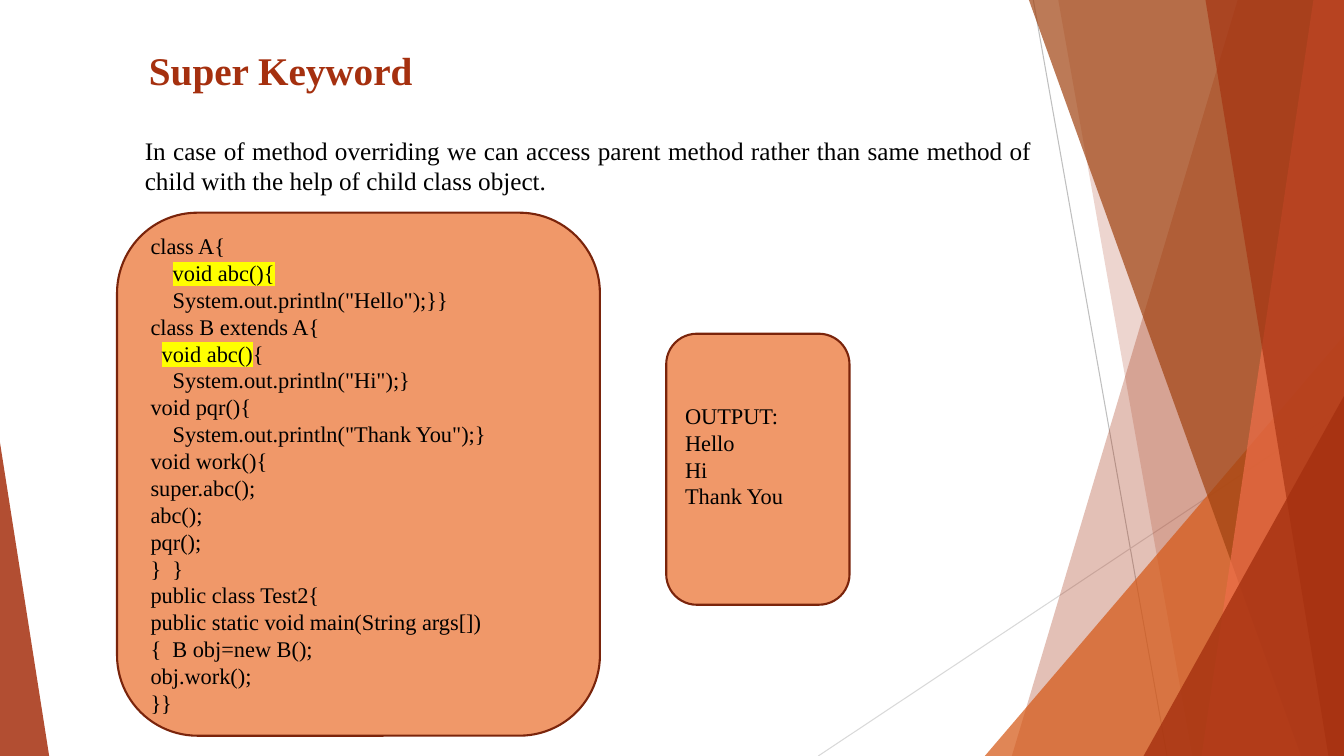
from dataclasses import dataclass

from lxml import etree
from pptx import Presentation
from pptx.dml.color import RGBColor
from pptx.enum.shapes import MSO_CONNECTOR, MSO_SHAPE
from pptx.enum.text import MSO_ANCHOR, PP_ALIGN
from pptx.oxml.ns import qn
from pptx.util import Cm, Pt

STRAIGHT = MSO_CONNECTOR.STRAIGHT
ROUNDED = MSO_SHAPE.ROUNDED_RECTANGLE
TRIANGLE = MSO_SHAPE.ISOSCELES_TRIANGLE
TOP, MIDDLE = MSO_ANCHOR.TOP, MSO_ANCHOR.MIDDLE
LEFT, JUSTIFY = PP_ALIGN.LEFT, PP_ALIGN.JUSTIFY

TITLE_ONLY = 5
SLIDE_WIDTH, SLIDE_HEIGHT = 33.87, 19.05
INDENT_STEP = 0.28


@dataclass(frozen=True)
class Theme:
    """Colours, font and type sizes of the deck."""
    font: str = "Times New Roman"
    title_size: int = 28
    body_size: int = 18
    code_size: int = 16
    ink: str = "000000"
    rust: str = "A5300F"
    orange: str = "D55816"
    brown: str = "A04210"
    coral: str = "EE6E4A"
    box_fill: str = "F09869"
    box_line: str = "7A240B"
    marker: str = "FFFF00"
    grey: str = "BFBFBF"
    pale_grey: str = "D9D9D9"


THEME = Theme()

TITLE = "Super Keyword"
INTRO = ("In case of method overriding we can access parent method rather than "
         "same method of child with the help of child class object.")

# Each line: indent steps, highlighted text, plain text
CODE = [
    (0, "", "class A{"),
    (2, "void abc(){", ""),
    (2, "", 'System.out.println("Hello");}}'),
    (0, "", "class B extends A{"),
    (1, "void abc()", "{"),
    (2, "", 'System.out.println("Hi");}'),
    (0, "", "void pqr(){"),
    (2, "", 'System.out.println("Thank You");}'),
    (0, "", "void work(){"),
    (0, "", "super.abc();"),
    (0, "", "abc();"),
    (0, "", "pqr();"),
    (0, "", "}  }"),
    (0, "", "public class Test2{"),
    (0, "", "public static void main(String args[])"),
    (0, "", "{  B obj=new B();"),
    (0, "", "obj.work();"),
    (0, "", "}}"),
]
OUTPUT = [(0, "", text) for text in ("OUTPUT:", "Hello", "Hi", "Thank You")]


def set_format(target, values):
    """Set every named attribute of the target."""
    for name, value in values.items():
        setattr(target, name, value)


def place(shape, left, top, width, height):
    """Move and size a shape, in centimetres."""
    set_format(shape, {"left": Cm(left), "top": Cm(top),
                       "width": Cm(width), "height": Cm(height)})


def add_span(para, text, size, color=THEME.ink, bold=False, marker=None):
    """Add a run of text, highlighted if a marker colour is given."""
    span = para.add_run()
    span.text = text
    set_format(span.font, {"name": THEME.font, "size": Pt(size), "bold": bold})
    span.font.color.rgb = RGBColor.from_string(color)
    if marker:
        properties = span.font.fill._xPr
        highlight = etree.Element(qn("a:highlight"))
        etree.SubElement(highlight, qn("a:srgbClr"), val=marker)
        properties.find(qn("a:solidFill")).addnext(highlight)


def style_facet(shape, color, opacity):
    """Give a decorative shape a translucent fill without outline."""
    shape.shadow.inherit = False
    shape.fill.solid()
    shape.fill.fore_color.rgb = RGBColor.from_string(color)
    shape.line.fill.background()
    tint = shape._element.spPr.find(qn("a:solidFill"))[0]
    etree.SubElement(tint, qn("a:alpha"), val=str(opacity * 1000))


def add_panel(shapes, top_left, bottom_left, color, opacity):
    """Add a full-height panel that reaches the right slide edge."""
    builder = shapes.build_freeform(Cm(top_left), 0)
    corners = [(SLIDE_WIDTH, 0), (SLIDE_WIDTH, SLIDE_HEIGHT), (bottom_left, SLIDE_HEIGHT)]
    builder.add_line_segments([(Cm(x), Cm(y)) for x, y in corners], close=True)
    style_facet(builder.convert_to_shape(), color, opacity)


def add_corner(shapes, left, width, height, apex, color, opacity):
    """Add a right-angled triangle that stands on the bottom slide edge."""
    corner = shapes.add_shape(TRIANGLE, Cm(left), Cm(SLIDE_HEIGHT - height),
                              Cm(width), Cm(height))
    corner.adjustments[0] = apex
    style_facet(corner, color, opacity)


def add_hairline(shapes, start, end, color):
    """Add a thin straight line between two points."""
    hairline = shapes.add_connector(STRAIGHT, *(Cm(value) for value in start + end))
    hairline.line.width = Pt(0.75)
    hairline.line.color.rgb = RGBColor.from_string(color)
    etree.SubElement(hairline._element.spPr, qn("a:effectLst"))


def add_backdrop(slide):
    """Add the faceted decoration as one group."""
    shapes = slide.shapes.add_group_shape().shapes
    add_hairline(shapes, (26.04, 0), (29.41, SLIDE_HEIGHT), THEME.grey)
    add_hairline(shapes, (SLIDE_WIDTH, 10.24), (20.62, SLIDE_HEIGHT), THEME.pale_grey)
    add_panel(shapes, 31.19, 25.5, THEME.rust, 30)
    add_panel(shapes, 26.67, 30.05, THEME.rust, 20)
    add_corner(shapes, 24.82, 9.05, 10.59, 1, THEME.orange, 72)
    add_panel(shapes, 25.93, 32.79, THEME.brown, 70)
    add_panel(shapes, 33.1, 30.28, THEME.coral, 70)
    add_panel(shapes, 30.38, 33.48, THEME.rust, 65)
    add_corner(shapes, 28.82, 5.05, 9.07, 1, THEME.rust, 80)
    add_corner(shapes, 0, 1.24, 7.9, 0, THEME.rust, 85)


def fill_title(slide):
    """Format the title placeholder and write the heading."""
    title = slide.shapes.title
    place(title, 3.5, 1.04, 20.12, 2.13)
    set_format(title.text_frame, {"vertical_anchor": TOP, "word_wrap": True})
    para = title.text_frame.paragraphs[0]
    para.alignment = LEFT
    add_span(para, TITLE, THEME.title_size, THEME.rust, bold=True)


def add_intro(slide):
    """Add the justified explanation under the title."""
    box = slide.shapes.add_textbox(Cm(3.4), Cm(3.28), Cm(22.86), Cm(1.8))
    box.text_frame.word_wrap = True
    para = box.text_frame.paragraphs[0]
    para.alignment = JUSTIFY
    add_span(para, INTRO, THEME.body_size)


def add_code_box(slide, position, lines, bottom=0.13):
    """Add a rounded box with one paragraph for each line."""
    box = slide.shapes.add_shape(ROUNDED, *(Cm(value) for value in position))
    box.shadow.inherit = False
    box.fill.solid()
    box.fill.fore_color.rgb = RGBColor.from_string(THEME.box_fill)
    box.line.color.rgb = RGBColor.from_string(THEME.box_line)
    box.line.width = Pt(1.5)
    frame = box.text_frame
    set_format(frame, {"word_wrap": True, "vertical_anchor": MIDDLE,
                       "margin_bottom": Cm(bottom)})
    for number, (steps, marked, plain) in enumerate(lines):
        para = frame.add_paragraph() if number else frame.paragraphs[0]
        para.alignment = LEFT
        para._p.get_or_add_pPr().set("marL", str(Cm(steps * INDENT_STEP)))
        for text, marker in ((marked, THEME.marker), (plain, None)):
            if text:
                add_span(para, text, THEME.code_size, marker=marker)


def main():
    """Build and save the deck."""
    deck = Presentation()
    set_format(deck, {"slide_width": Cm(SLIDE_WIDTH), "slide_height": Cm(SLIDE_HEIGHT)})
    slide = deck.slides.add_slide(deck.slide_layouts[TITLE_ONLY])
    add_backdrop(slide)
    fill_title(slide)
    add_intro(slide)
    add_code_box(slide, (2.95, 5.36, 12.17, 13.18), CODE)
    add_code_box(slide, (16.79, 8.41, 4.62, 6.83), OUTPUT, bottom=0.81)
    deck.save("out.pptx")


main()
